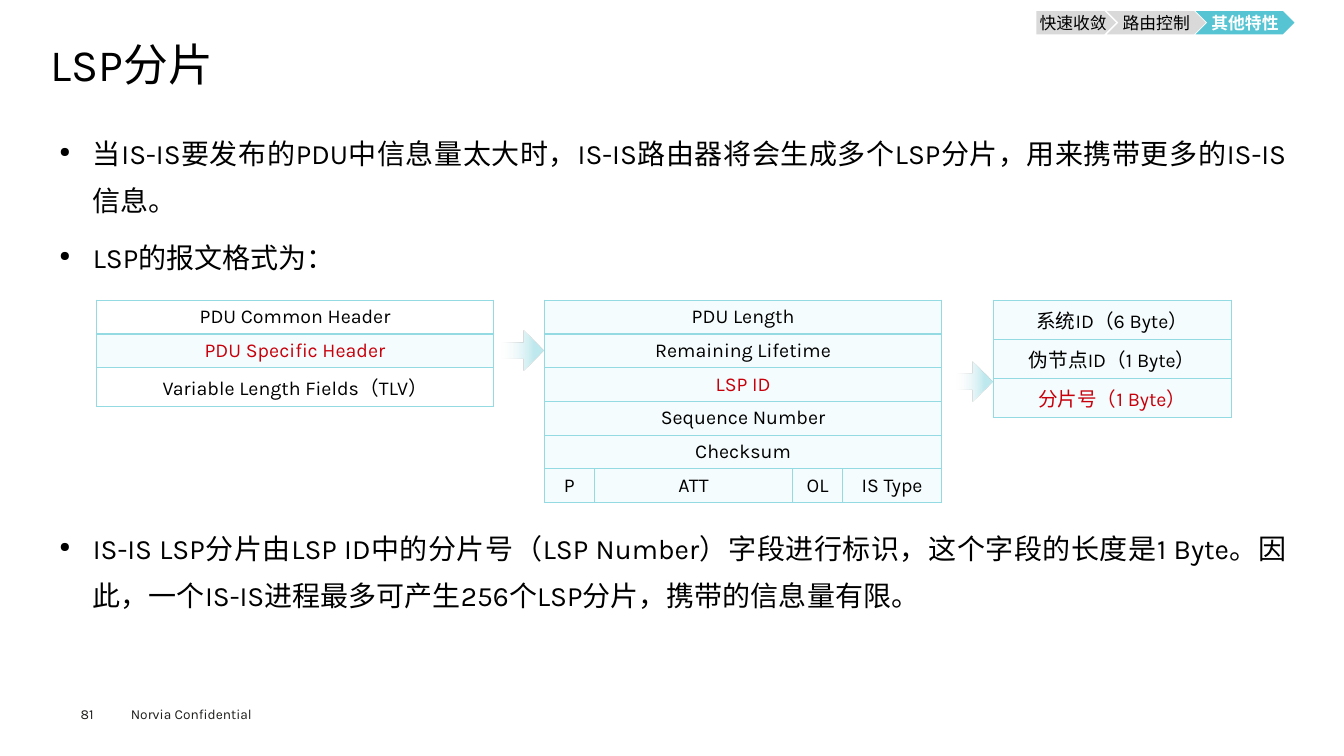
"""Build the slide on LSP fragments with its packet format tables."""
from lxml import etree
from pptx import Presentation
from pptx.dml.color import RGBColor
from pptx.enum.shapes import MSO_SHAPE
from pptx.enum.text import MSO_ANCHOR, PP_ALIGN
from pptx.oxml.ns import qn
from pptx.util import Pt

PLATE, CHEVRON, ARROW = MSO_SHAPE.PENTAGON, MSO_SHAPE.CHEVRON, MSO_SHAPE.RIGHT_ARROW
MIDDLE, TOP = MSO_ANCHOR.MIDDLE, MSO_ANCHOR.TOP
CENTER, JUSTIFY = PP_ALIGN.CENTER, PP_ALIGN.JUSTIFY

COLORS = {
    "black": "000000", "white": "FFFFFF", "footer": "1D1D1B", "red": "C7000B",
    "gray": "D9D9D9", "teal": "56C4D2", "border": "94DAE2", "pale": "F5FCFD",
    "fade": "F7FAFD", "arrow": "BEE9EE",
}
INSET = {"margin_left": 0, "margin_top": 0, "margin_right": 0, "margin_bottom": 0}
BODY_INSET = {"margin_left": Pt(6.5), "margin_top": Pt(2.9),
              "margin_right": Pt(6.5), "margin_bottom": Pt(2.9)}
BULLET_FORMAT = {"alignment": JUSTIFY, "line_spacing": Pt(33.3)}
ROW, TALL_ROW = 24.12, 27.9
TABLE_TOP = 214.4


def rgb(name):
    return RGBColor.from_string(COLORS[name])


def apply(obj, values):
    for name, value in values.items():
        setattr(obj, name, value)


def sub(parent, tag, **attrs):
    return etree.SubElement(parent, qn(tag), attrs)


def add_run(p, text, size, color="black", bold=False):
    r = p.add_run()
    r.text = text
    apply(r.font, {"name": "Karla", "size": Pt(size), "bold": bold})
    r.font.color.rgb = rgb(color)


def add_frame(s, box, values):
    tf = s.shapes.add_textbox(*map(Pt, box)).text_frame
    apply(tf, {"word_wrap": True, "vertical_anchor": TOP, **values})
    return tf


def add_label(s, box, text, size, color, values):
    tf = add_frame(s, box, values)
    add_run(tf.paragraphs[0], text, size, color)
    return tf


def add_bullets(s, top, height, texts):
    tf = add_frame(s, (36, top, 889.2, height), BODY_INSET)
    for i, text in enumerate(texts):
        p = tf.add_paragraph() if i else tf.paragraphs[0]
        apply(p, {**BULLET_FORMAT, "space_before": Pt(7.9 if i else 0)})
        ppr = p._p.get_or_add_pPr()
        ppr.set("marL", str(Pt(23.8)))
        ppr.set("indent", str(-Pt(23.8)))
        sub(ppr, "a:buSzPct", val="50000")
        sub(ppr, "a:buChar", char="●")
        add_run(p, text, 20)


def add_borders(cell):
    tcpr = cell._tc.get_or_add_tcPr()
    for i, side in enumerate(("L", "R", "T", "B")):
        ln = etree.Element(qn("a:ln" + side), {"w": str(Pt(1))})
        sub(sub(ln, "a:solidFill"), "a:srgbClr", val=COLORS["border"])
        tcpr.insert(i, ln)


def add_format_table(s, left, widths, heights, rows, fills):
    box = left, TABLE_TOP, sum(widths), sum(heights)
    table = s.shapes.add_table(len(heights), len(widths), *map(Pt, box)).table
    apply(table, {"first_row": False, "horz_banding": False})
    for column, width in zip(table.columns, widths):
        column.width = Pt(width)
    for i, (height, texts) in enumerate(zip(heights, rows)):
        table.rows[i].height = Pt(height)
        for j in range(len(widths)):
            cell = table.cell(i, j)
            cell.fill.solid()
            cell.fill.fore_color.rgb = rgb(fills[i])
            cell.vertical_anchor = MIDDLE
            add_borders(cell)
        if len(texts) < len(widths):
            table.cell(i, 0).merge(table.cell(i, len(widths) - 1))
        for j, (text, color) in enumerate(texts):
            p = table.cell(i, j).text_frame.paragraphs[0]
            p.alignment = CENTER
            add_run(p, text, 14, color)


def add_preset(s, kind, box):
    sp = s.shapes.add_shape(kind, *map(Pt, box))
    sp.shadow.inherit = False
    sp.line.fill.background()
    return sp


def add_tab(s, kind, left, width, text, fill, color, bold):
    sp = add_preset(s, kind, (left, 7.9, width, 16.6))
    sp.fill.solid()
    sp.fill.fore_color.rgb = rgb(fill)
    tf = sp.text_frame
    apply(tf, {**INSET, "vertical_anchor": MIDDLE})
    tf.paragraphs[0].alignment = CENTER
    add_run(tf.paragraphs[0], text, 12, color, bold)


def add_arrow(s, left, top, width):
    sp = add_preset(s, ARROW, (left, top, width, 28.1))
    sp.adjustments[0], sp.adjustments[1] = 0.4, 0.5
    sp.fill.gradient()
    sp.fill.gradient_angle = 0
    stops = sp.fill.gradient_stops
    for stop, position, color in zip(stops, (0.15, 0.81), ("fade", "arrow")):
        stop.position = position
        stop.color.rgb = rgb(color)
    clear = sp._element.spPr.find(".//" + qn("a:srgbClr"))
    sub(clear, "a:alpha", val="0")


def main():
    prs = Presentation()
    apply(prs, {"slide_width": Pt(960), "slide_height": Pt(540)})
    s = prs.slides.add_slide(prs.slide_layouts[6])

    add_label(s, (86.4, 500.4, 115.2, 19.4), "Norvia Confidential", 9.8, "footer", {})
    add_label(s, (57.6, 504, 39.6, 11.5), "81", 9.8, "footer", INSET)
    title = add_label(s, (36, 30.4, 889.2, 41.7), "LSP分片", 32, "black", INSET)
    title.paragraphs[0].line_spacing = 0.9

    add_bullets(s, 85.3, 114, [
        "当IS-IS要发布的PDU中信息量太大时，IS-IS路由器将会生成多个LSP分片，用来携带更多的IS-IS信息。",
        "LSP的报文格式为：",
    ])
    add_bullets(s, 367.5, 73, [
        "IS-IS LSP分片由LSP ID中的分片号（LSP Number）字段进行标识，这个字段的长度是1 Byte。"
        "因此，一个IS-IS进程最多可产生256个LSP分片，携带的信息量有限。",
    ])

    add_format_table(s, 69, [283.7], [ROW, ROW, TALL_ROW], [
        [("PDU Common Header", "black")],
        [("PDU Specific Header", "red")],
        [("Variable Length Fields（TLV）", "black")],
    ], ["white", "pale", "white"])
    add_format_table(s, 389, [35.5, 141.8, 35.5, 70.9], [ROW] * 6, [
        [("PDU Length", "black")],
        [("Remaining Lifetime", "black")],
        [("LSP ID", "red")],
        [("Sequence Number", "black")],
        [("Checksum", "black")],
        [(flag, "black") for flag in ("P", "ATT", "OL", "IS Type")],
    ], ["pale"] * 6)
    add_format_table(s, 709.4, [170], [TALL_ROW] * 3, [
        [("系统ID（6 Byte）", "black")],
        [("伪节点ID（1 Byte）", "black")],
        [("分片号（1 Byte）", "red")],
    ], ["pale"] * 3)

    add_arrow(s, 353.5, 236.2, 34.6)
    add_arrow(s, 679, 258.5, 29.5)

    add_tab(s, PLATE, 740.2, 56.9, "快速收敛", "gray", "black", False)
    add_tab(s, CHEVRON, 790.6, 70.6, "路由控制", "gray", "black", False)
    add_tab(s, CHEVRON, 854, 70.6, "其他特性", "teal", "white", True)

    prs.save("out.pptx")


if __name__ == "__main__":
    main()
